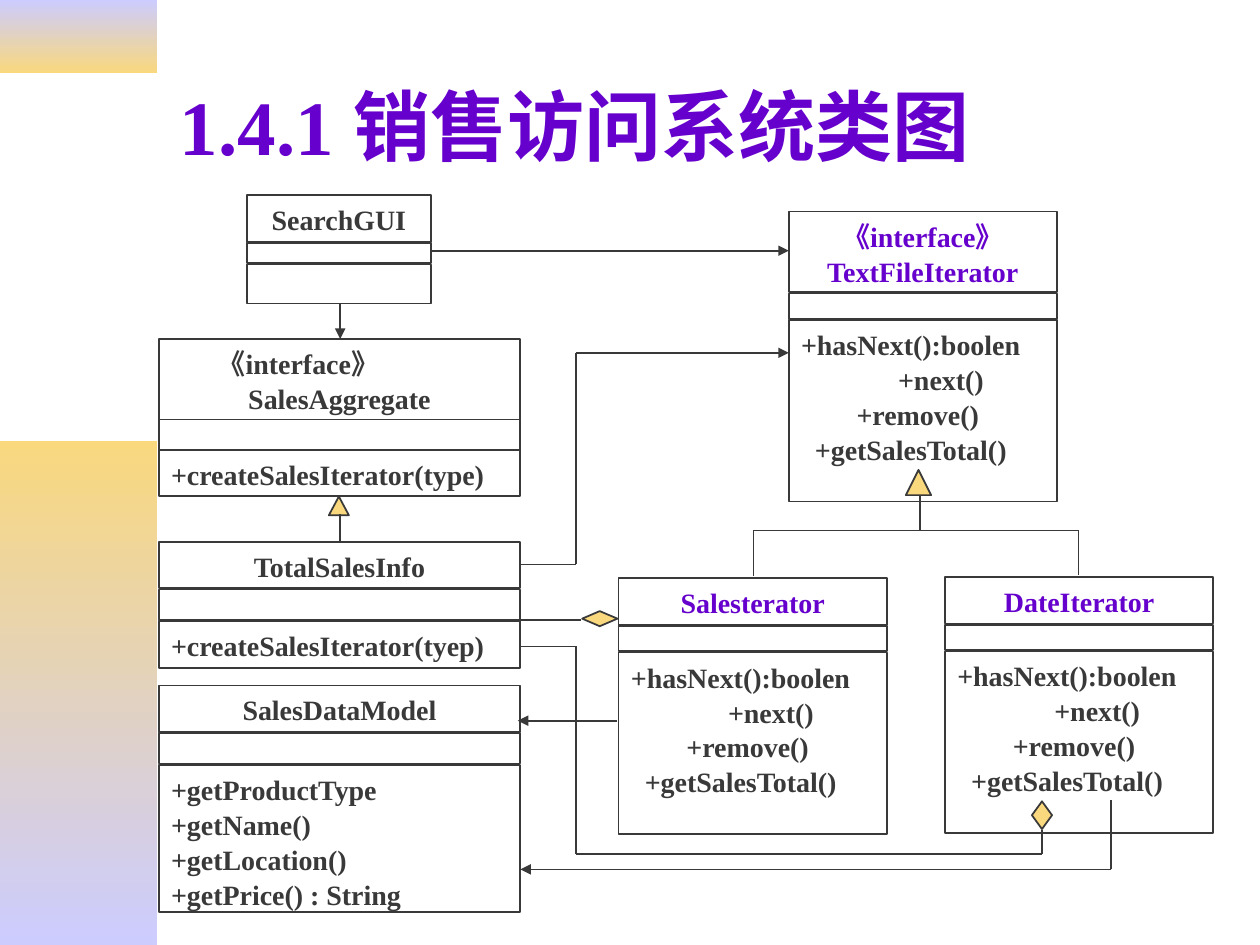
from lxml.etree import SubElement
from pptx import Presentation
from pptx.dml.color import RGBColor
from pptx.enum.shapes import MSO_CONNECTOR, MSO_SHAPE
from pptx.enum.text import MSO_ANCHOR, PP_ALIGN
from pptx.oxml.ns import qn
from pptx.util import Inches, Pt

FONT = "Times New Roman"
INK = "393939"
PURPLE = "6600CC"
GOLD = "F9D87E"
LAVENDER = "CCCCFF"


def color(value):
    return RGBColor.from_string(value)


def write_text(frame, lines, size=16, ink=INK, align=PP_ALIGN.LEFT,
               anchor=MSO_ANCHOR.TOP, spacing=1.04):
    frame.word_wrap = True
    frame.vertical_anchor = anchor
    frame.margin_left = frame.margin_right = Inches(0.1)
    frame.margin_top = frame.margin_bottom = Inches(0.05)
    for index, line in enumerate(lines):
        text, indent = line if isinstance(line, tuple) else (line, None)
        paragraph = frame.paragraphs[0] if index == 0 else frame.add_paragraph()
        paragraph.alignment = align
        paragraph.line_spacing = spacing
        if indent is not None:
            paragraph.alignment = PP_ALIGN.LEFT
            paragraph._p.get_or_add_pPr().set("marL", str(Inches(indent)))
        run = paragraph.add_run()
        run.text = text
        run.font.name = FONT
        run.font.size = Pt(size)
        run.font.bold = True
        run.font.color.rgb = color(ink)


class Diagram:
    def __init__(self, slide, ink=INK, accent=GOLD, line_width=1):
        self.slide = slide
        self.ink = ink
        self.accent = accent
        self.line_width = line_width

    def add_shape(self, kind, left, top, width, height):
        shape = self.slide.shapes.add_shape(
            kind, Inches(left), Inches(top), Inches(width), Inches(height))
        shape.shadow.inherit = False
        return shape

    def outline(self, shape):
        shape.line.color.rgb = color(self.ink)
        shape.line.width = Pt(self.line_width)

    def gradient_band(self, top, height, first, last):
        band = self.add_shape(MSO_SHAPE.RECTANGLE, 0, top, 1.25, height)
        band.line.fill.background()
        band.fill.gradient()
        band.fill.gradient_angle = 270
        for stop, value in zip(band.fill.gradient_stops, (first, last)):
            stop.color.rgb = color(value)

    def title(self, text):
        box = self.slide.shapes.add_textbox(
            Inches(1.33), Inches(0.33), Inches(8.5), Inches(1.32))
        write_text(box.text_frame, [text], size=44, ink=PURPLE,
                   anchor=MSO_ANCHOR.MIDDLE, spacing=1)

    def class_box(self, left, top, width, heights, name, operations=(),
                  name_ink=INK, gap=0.01):
        sections = zip(heights, (name, (), operations),
                       (PP_ALIGN.CENTER, PP_ALIGN.LEFT, PP_ALIGN.LEFT),
                       (name_ink, INK, INK))
        for height, lines, align, ink in sections:
            section = self.add_shape(MSO_SHAPE.RECTANGLE, left, top, width, height)
            section.fill.background()
            self.outline(section)
            if lines:
                write_text(section.text_frame, lines, ink=ink, align=align)
            top += height + gap

    def marker(self, kind, left, top, width, height):
        shape = self.add_shape(kind, left, top, width, height)
        shape.fill.solid()
        shape.fill.fore_color.rgb = color(self.accent)
        self.outline(shape)

    def route(self, *points, arrow=False):
        for start, end in zip(points, points[1:]):
            connector = self.slide.shapes.add_connector(
                MSO_CONNECTOR.STRAIGHT, *map(Inches, start + end))
            self.outline(connector)
            properties = connector._element.spPr
            SubElement(properties, qn("a:effectLst"))
            if arrow and end == points[-1]:
                SubElement(properties.find(qn("a:ln")), qn("a:tailEnd"), type="triangle")


def main():
    presentation = Presentation()
    presentation.slide_width = Inches(10)
    presentation.slide_height = Inches(7.5)
    slide = presentation.slides.add_slide(presentation.slide_layouts[6])
    diagram = Diagram(slide)

    diagram.gradient_band(0, 0.58, LAVENDER, GOLD)
    diagram.gradient_band(3.5, 4, GOLD, LAVENDER)
    diagram.title("1.4.1 销售访问系统类图")

    diagram.class_box(1.96, 1.55, 1.46, (0.37, 0.16, 0.31), ["SearchGUI"])
    diagram.class_box(1.26, 2.69, 2.87, (0.64, 0.24, 0.37),
                      [("《interface》", 0.37), "SalesAggregate"],
                      ["+createSalesIterator(type)"], gap=0)
    diagram.class_box(1.26, 4.3, 2.87, (0.37, 0.24, 0.37), ["TotalSalesInfo"],
                      ["+createSalesIterator(tyep)"])
    diagram.class_box(1.26, 5.44, 2.87, (0.37, 0.24, 1.17), ["SalesDataModel"],
                      ["+getProductType", "+getName()", "+getLocation()",
                       "+getPrice() : String"])

    iterator_operations = ["+hasNext():boolen", ("+next()", 0.77),
                           ("+remove()", 0.44), ("+getSalesTotal()", 0.11)]
    iterators = [
        (6.26, 1.68, 0.64, ["《interface》", "TextFileIterator"]),
        (4.91, 4.59, 0.37, ["Salesterator"]),
        (7.5, 4.58, 0.37, ["DateIterator"]),
    ]
    for left, top, name_height, name in iterators:
        diagram.class_box(left, top, 2.13, (name_height, 0.2, 1.44), name,
                          iterator_operations, name_ink=PURPLE)

    diagram.marker(MSO_SHAPE.ISOSCELES_TRIANGLE, 2.61, 3.94, 0.16, 0.15)
    diagram.marker(MSO_SHAPE.ISOSCELES_TRIANGLE, 7.19, 3.73, 0.2, 0.2)
    diagram.marker(MSO_SHAPE.FLOWCHART_DECISION, 4.62, 4.85, 0.28, 0.12)
    diagram.marker(MSO_SHAPE.FLOWCHART_DECISION, 8.19, 6.36, 0.16, 0.22)

    diagram.route((2.7, 4.08), (2.7, 4.29))
    diagram.route((7.3, 3.93), (7.3, 4.21))
    diagram.route((5.98, 4.57), (5.98, 4.21), (8.56, 4.21), (8.56, 4.56))
    diagram.route((4.13, 4.92), (4.61, 4.92))
    diagram.route((4.13, 5.13), (4.57, 5.13), (4.57, 6.78), (8.27, 6.78), (8.27, 6.59))
    diagram.route((2.7, 2.41), (2.7, 2.69), arrow=True)
    diagram.route((3.43, 1.99), (6.26, 1.99), arrow=True)
    diagram.route((4.13, 4.48), (4.57, 4.48), (4.57, 2.8), (6.26, 2.8), arrow=True)
    diagram.route((4.9, 5.72), (4.11, 5.72), arrow=True)
    diagram.route((8.82, 6.35), (8.82, 6.9), (4.13, 6.9), arrow=True)

    presentation.save("out.pptx")


if __name__ == "__main__":
    main()
